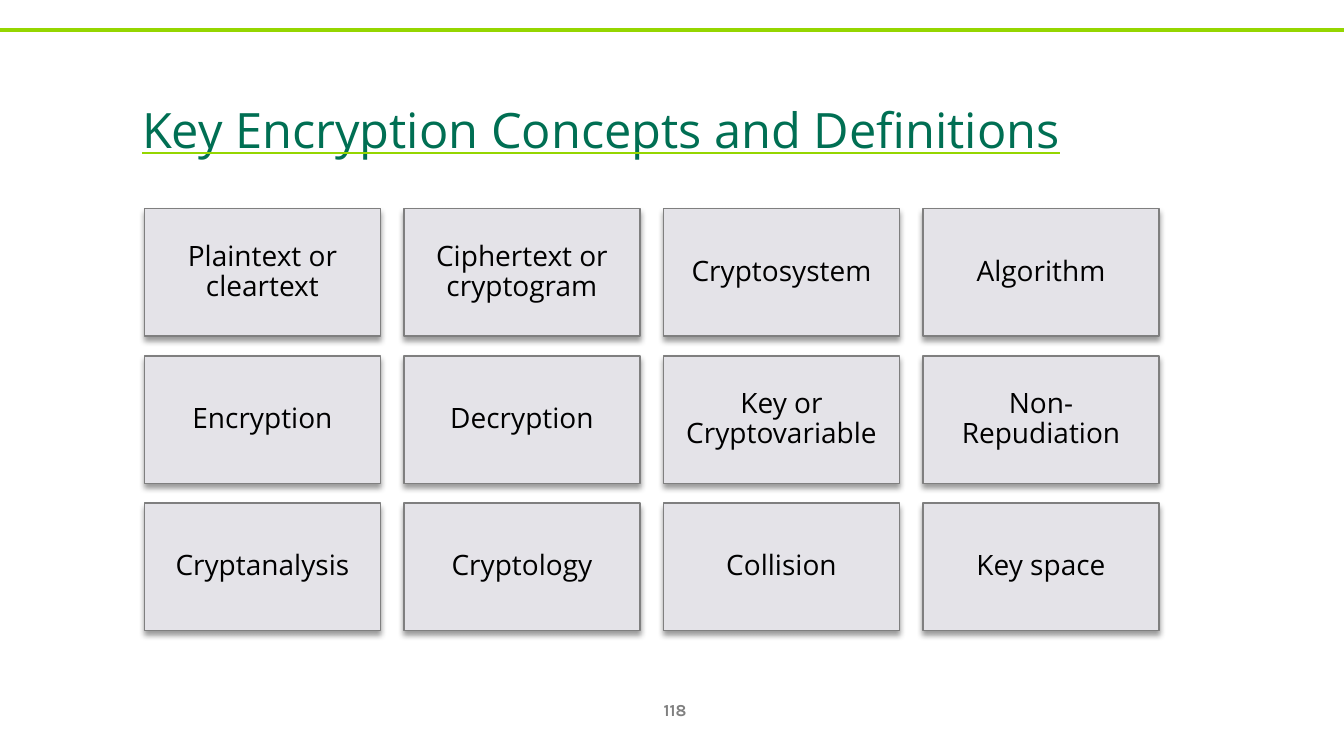
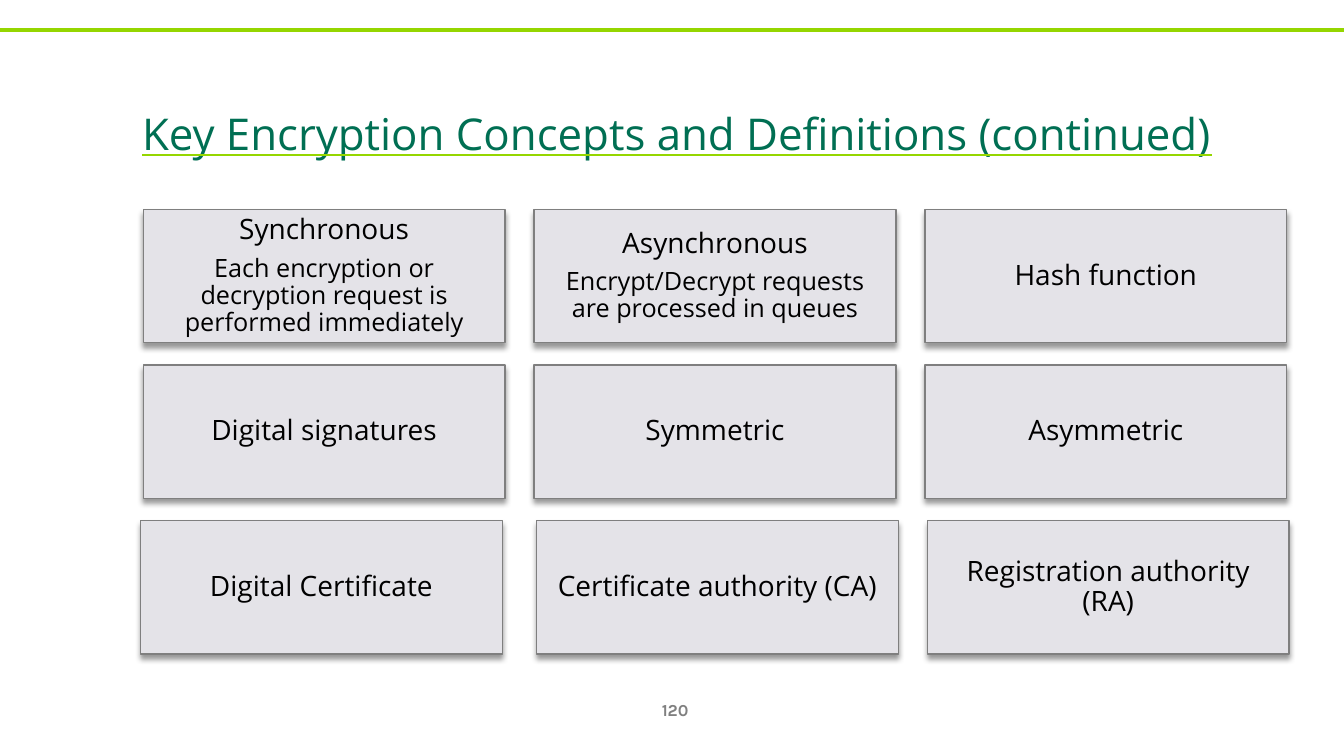
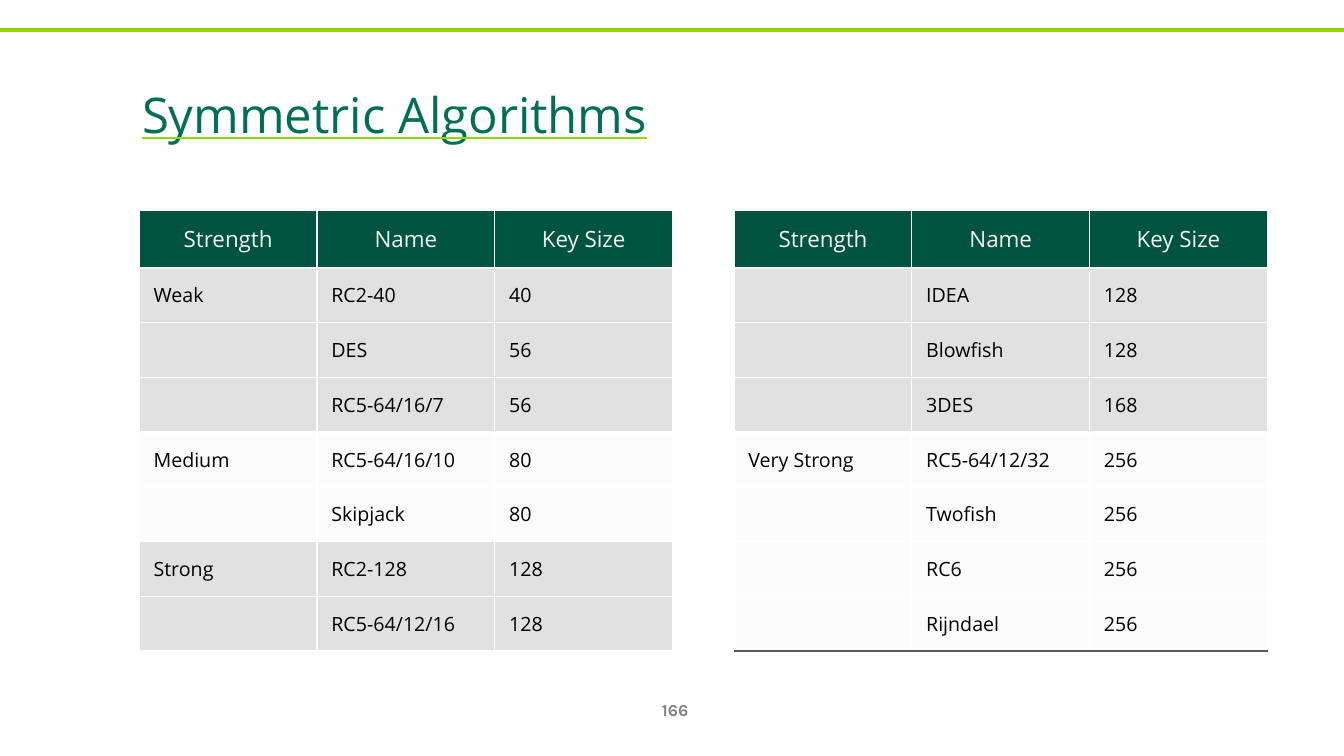
import pptx
import pptx.util
import pptx.dml.color
import pptx.enum.shapes
import pptx.enum.text
import pptx.oxml
import pptx.oxml.ns

Cm, Pt = pptx.util.Cm, pptx.util.Pt
Align, Anchor = pptx.enum.text.PP_ALIGN, pptx.enum.text.MSO_ANCHOR
qn, ns = pptx.oxml.ns.qn, pptx.oxml.ns.nsdecls("a")

# Shared look
LIME, GREEN, DARK = "95D600", "006F53", "00533E"
PALE, EDGE, GREY, BLACK = "E4E3E8", "7F7F7F", "808080", "000000"
WHITE, MIST, BAND, RULE = "FFFFFF", "F2F2F2", "898989", "595959"
SANS, FOOT = "Open Sans", "Karla"


def tint(code):
    return pptx.dml.color.RGBColor.from_string(code)


def say(par, text, size, code, face=SANS):
    run = par.add_run()
    run.text = text
    run.font.size = Pt(size)
    run.font.color.rgb = tint(code)
    run.font.name = face
    return run


deck = pptx.Presentation()
deck.slide_width, deck.slide_height = Cm(33.87), Cm(19.05)

# Page number, title, width, size, raise, line spacing, space after
heads = [
    (118, "Key Encryption Concepts and Definitions", 29.13, 60, 12, 1, 18),
    (120, "Key Encryption Concepts and Definitions (continued)",
     27.69, 54, 12, 1.1, 18),
    (166, "Symmetric Algorithms", 24.08, 60.5, 30, 1, 0),
]
for page, title, wide, size, lift, lead, after in heads:
    slide = deck.slides.add_slide(deck.slide_layouts[6])

    # Top rule
    rule = slide.shapes.add_connector(
        pptx.enum.shapes.MSO_CONNECTOR.STRAIGHT,
        0, Cm(0.76), deck.slide_width, Cm(0.76))
    rule.line.color.rgb = tint(LIME)
    rule.line.width = Pt(3)
    rule._element.spPr.append(pptx.oxml.parse_xml(f"<a:effectLst {ns}/>"))

    # Page number
    box = slide.shapes.add_textbox(Cm(16.23), Cm(17.37), Cm(1.57), Cm(1.02))
    box.text_frame.word_wrap = True
    box.text_frame.vertical_anchor = Anchor.MIDDLE
    par = box.text_frame.paragraphs[0]
    par.alignment = Align.CENTER
    say(par, str(page), 12, GREY, FOOT).font.bold = True

    # Raised title with a lime underline
    box = slide.shapes.add_textbox(Cm(3.33), Cm(1.55), Cm(wide), Cm(3.18))
    box.text_frame.word_wrap = True
    box.text_frame.vertical_anchor = Anchor.MIDDLE
    par = box.text_frame.paragraphs[0]
    par.line_spacing = lead
    par.space_after = Pt(after)
    run = say(par, title, size, GREEN)
    run.font.underline = True
    props = run._r.get_or_add_rPr()
    props.set("baseline", str(lift * 1000))
    props.find(qn("a:latin")).addprevious(pptx.oxml.parse_xml(
        f'<a:uFill {ns}><a:solidFill><a:srgbClr val="{LIME}"/>'
        '</a:solidFill></a:uFill>'))

# Card grids: left, top, width, height, steps, last row's shifts, rows
grids = [
    (3.64, 5.26, 5.95, 3.21, 6.54, 3.71, (0, 0, 0, 0), [
        ["Plaintext or cleartext", "Ciphertext or cryptogram",
         "Cryptosystem", "Algorithm"],
        ["Encryption", "Decryption", "Key or Cryptovariable",
         "Non-Repudiation"],
        ["Cryptanalysis", "Cryptology", "Collision", "Key space"],
    ]),
    (3.61, 5.28, 9.12, 3.36, 9.85, 3.92, (-0.07, 0.06, 0.06), [
        ["Synchronous\nEach encryption or decryption request is "
         "performed immediately",
         "Asynchronous\nEncrypt/Decrypt requests are processed in queues",
         "Hash function"],
        ["Digital signatures", "Symmetric", "Asymmetric"],
        ["Digital Certificate", "Certificate authority (CA)",
         "Registration authority (RA)"],
    ]),
]
for slide, grid in zip(deck.slides, grids):
    left, top, wide, high, across, down, shifts, rows = grid
    for r, row in enumerate(rows):
        for c, text in enumerate(row):
            shift = shifts[c] if r == len(rows) - 1 else 0
            card = slide.shapes.add_shape(
                pptx.enum.shapes.MSO_SHAPE.RECTANGLE,
                Cm(left + c * across + shift), Cm(top + r * down),
                Cm(wide), Cm(high))
            card.fill.solid()
            card.fill.fore_color.rgb = tint(PALE)
            card.line.color.rgb = tint(EDGE)
            card.line.width = Pt(1)
            card.shadow.inherit = False
            card._element.spPr.find(qn("a:effectLst")).append(
                pptx.oxml.parse_xml(
                    f'<a:outerShdw {ns} blurRad="{Pt(4)}" dist="{Pt(3)}" '
                    'dir="5400000" rotWithShape="0"><a:srgbClr '
                    f'val="{BLACK}"><a:alpha val="40000"/></a:srgbClr>'
                    '</a:outerShdw>'))
            frame = card.text_frame
            frame.word_wrap = True
            frame.vertical_anchor = Anchor.MIDDLE
            frame.margin_left = frame.margin_right = Cm(0.38)
            frame.margin_top = frame.margin_bottom = Cm(0.38)
            for n, line in enumerate(text.split("\n")):
                par = frame.add_paragraph() if n else frame.paragraphs[0]
                par.alignment = Align.CENTER
                par.line_spacing = 0.9
                par.space_after = Pt(7)
                say(par, line, 18 if n else 20, BLACK)

# Cipher tables: left, bottom rule, rows of band, strength, name, key size
GRAY, LIGHT = (BAND, 25), (PALE, 10)
lists = [
    (3.51, WHITE, [
        (GRAY, "Weak", "RC2-40", "40"),
        (GRAY, "", "DES", "56"),
        (GRAY, "", "RC5-64/16/7", "56"),
        (LIGHT, "Medium", "RC5-64/16/10", "80"),
        (LIGHT, "", "Skipjack", "80"),
        (GRAY, "Strong", "RC2-128", "128"),
        (GRAY, "", "RC5-64/12/16", "128"),
    ]),
    (18.5, RULE, [
        (GRAY, "", "IDEA", "128"),
        (GRAY, "", "Blowfish", "128"),
        (GRAY, "", "3DES", "168"),
        (LIGHT, "Very Strong", "RC5-64/12/32", "256"),
        (LIGHT, "", "Twofish", "256"),
        (LIGHT, "", "RC6", "256"),
        (LIGHT, "", "Rijndael", "256"),
    ]),
]
for left, base, rows in lists:
    rows = [((DARK, 100), "Strength", "Name", "Key Size")] + rows
    table = deck.slides[2].shapes.add_table(
        len(rows), 3, Cm(left), Cm(5.31), Cm(13.44), Cm(11.1)).table
    table.horz_banding = False
    for col in table.columns:
        col.width = Cm(4.48)
    for r, ((code, alpha), *texts) in enumerate(rows):
        table.rows[r].height = Cm(1.38 if r else 1.44)
        edges = {"L": (WHITE, 1), "R": (WHITE, 1),
                 "T": (MIST, 2.25) if r == 1 else (WHITE, 1),
                 "B": (WHITE, 1)}
        if r == 0:
            edges["B"] = (MIST, 2.25)
        if r == len(rows) - 1:
            edges["B"] = (base, 1)
        for c, text in enumerate(texts):
            cell = table.cell(r, c)
            props = cell._tc.get_or_add_tcPr()
            for side, (ink, thick) in edges.items():
                props.append(pptx.oxml.parse_xml(
                    f'<a:ln{side} {ns} w="{Pt(thick)}"><a:solidFill>'
                    f'<a:srgbClr val="{ink}"/></a:solidFill></a:ln{side}>'))
            cell.fill.solid()
            cell.fill.fore_color.rgb = tint(code)
            if alpha < 100:
                props.find(qn("a:solidFill"))[0].append(pptx.oxml.parse_xml(
                    f'<a:alpha {ns} val="{alpha * 1000}"/>'))
            if not text:
                continue
            cell.vertical_anchor = Anchor.MIDDLE
            cell.margin_left = cell.margin_right = Cm(0.36)
            cell.margin_top = cell.margin_bottom = Cm(0.33)
            par = cell.text_frame.paragraphs[0]
            if r == 0:
                par.alignment = Align.CENTER
                say(par, text, 16, MIST)
            else:
                par.space_after = Pt(2)
                say(par, text, 14, BLACK)

deck.save("out.pptx")
